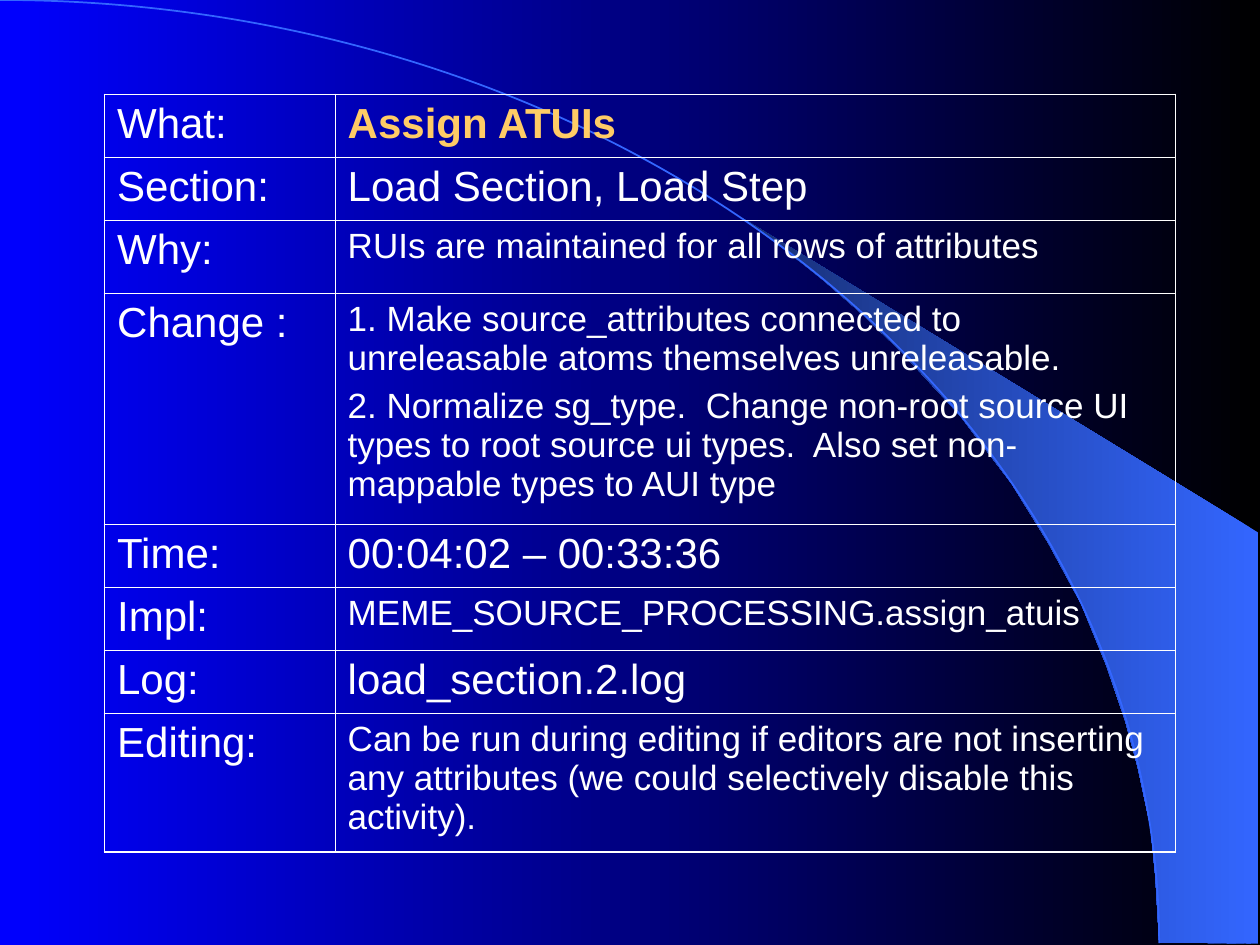
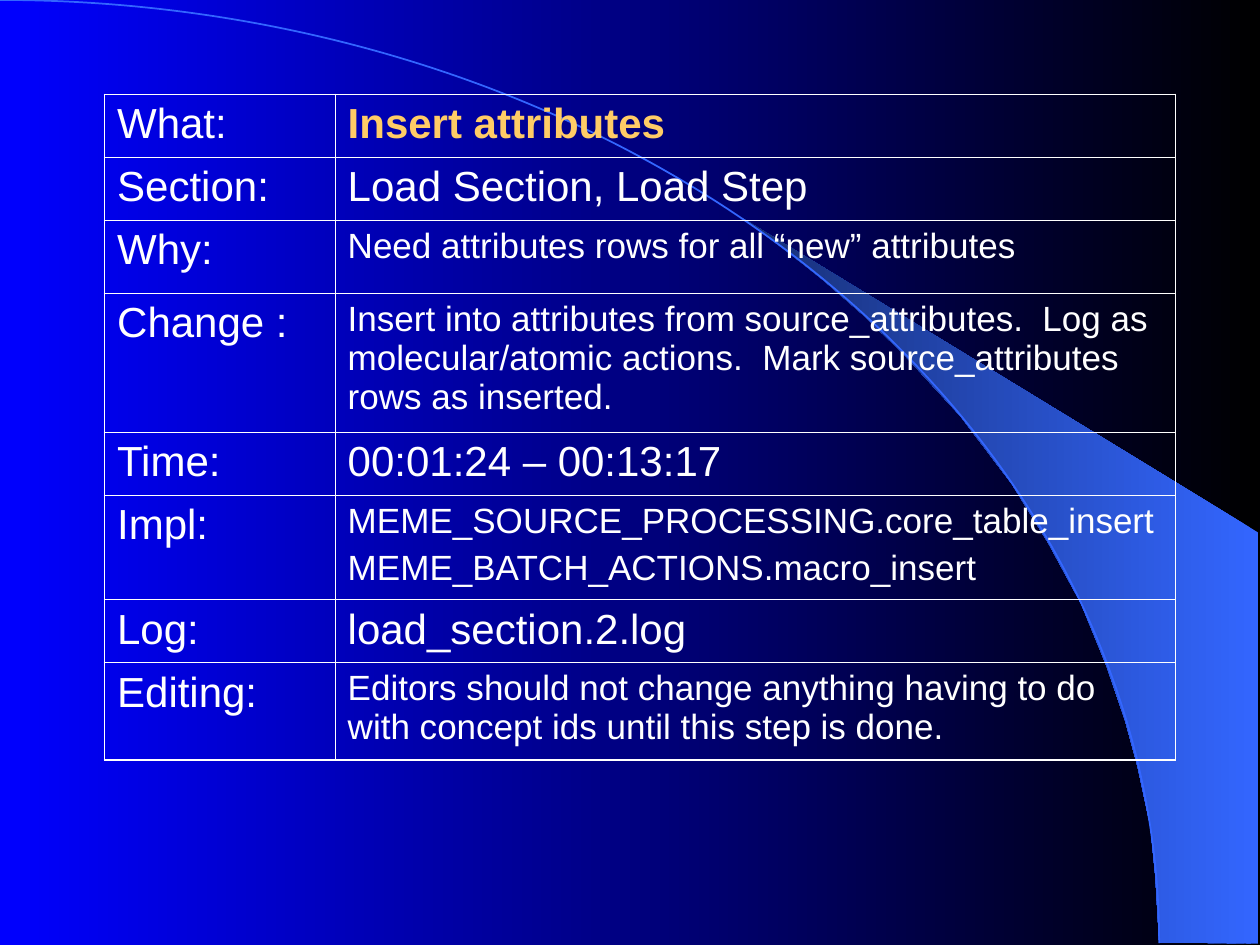
from lxml import etree
from pptx import Presentation
from pptx.dml.color import RGBColor
from pptx.enum.shapes import MSO_SHAPE
from pptx.oxml.ns import qn
from pptx.util import Inches, Pt

ARC = MSO_SHAPE.ARC
COLORS = {
    "text": "FFFFFF",
    "border": "FFFFFF",
    "accent": "FFCC66",
    "arc": "3366FF",
    "sweep_dark": "172F75",
    "bg_dark": "000000",
    "bg_blue": "0000FF",
}
FONT = "Arial"
OUTER, INNER = 1.08, 0.45
COL_WIDTHS = [1.83, 6.67]

# label, value size, value colour, value bold
FIELDS = [
    ("What:", 24, "accent", True),
    ("Section:", 24, "text", False),
    ("Why:", 20, "text", False),
    ("Change :", 20, "text", False),
    ("Time:", 24, "text", False),
    ("Impl:", 20, "text", False),
    ("Log:", 24, "text", False),
    ("Editing:", 20, "text", False),
]

# one (row height, paragraphs) pair for each field
STEPS = [
    [
        (0.5, ["Assign ATUIs"]),
        (0.5, ["Load Section, Load Step"]),
        (0.58, ["RUIs are maintained for all rows of attributes"]),
        (1.83, ["1. Make source_attributes connected to unreleasable atoms "
                "themselves unreleasable.",
                "2. Normalize sg_type.  Change non-root source UI types to root "
                "source ui types.  Also set non-mappable types to AUI type"]),
        (0.5, ["00:04:02 – 00:33:36"]),
        (0.5, ["MEME_SOURCE_PROCESSING.assign_atuis"]),
        (0.5, ["load_section.2.log"]),
        (1.1, ["Can be run during editing if editors are not inserting any "
               "attributes (we could selectively disable this activity)."]),
    ],
    [
        (0.5, ["Insert attributes"]),
        (0.5, ["Load Section, Load Step"]),
        (0.58, ["Need attributes rows for all “new” attributes"]),
        (1.1, ["Insert into attributes from source_attributes.  Log as "
               "molecular/atomic actions.  Mark source_attributes rows as "
               "inserted."]),
        (0.5, ["00:01:24 – 00:13:17"]),
        (0.83, ["MEME_SOURCE_PROCESSING.core_table_insert",
                "MEME_BATCH_ACTIONS.macro_insert"]),
        (0.5, ["load_section.2.log"]),
        (0.77, ["Editors should not change anything having to do with concept "
                "ids until this step is done."]),
    ],
]

SWEEP = [
    (9.2, 7.48), (9.99, 7.49), (9.99, 4.23), (5.89, 1.73), (6.24, 1.99),
    (6.53, 2.22), (6.85, 2.5), (7.16, 2.8), (7.62, 3.3), (8.03, 3.84),
    (8.32, 4.31), (8.58, 4.79), (8.78, 5.28), (8.93, 5.72), (9.03, 6.09),
    (9.13, 6.56), (9.17, 6.96),
]


def set_gradient(fill, right, left):
    fill.gradient()
    fill.gradient_angle = 180
    for stop, name in zip(fill.gradient_stops, (right, left)):
        stop.color.rgb = RGBColor.from_string(COLORS[name])


def format_cell(cell, paragraphs, fmt, borders):
    """Write the paragraphs; borders maps L, R, T, B to widths in points."""
    cell.fill.background()
    tc_pr = cell._tc.get_or_add_tcPr()
    for i, (side, width) in enumerate(borders.items()):
        ln = etree.Element(qn(f"a:ln{side}"), w=str(Pt(width)))
        solid = etree.SubElement(ln, qn("a:solidFill"))
        etree.SubElement(solid, qn("a:srgbClr"), val=COLORS["border"])
        tc_pr.insert(i, ln)
    tf = cell.text_frame
    for i, text in enumerate(paragraphs):
        p = tf.add_paragraph() if i else tf.paragraphs[0]
        if i:
            p.space_before = Pt(5)
        r = p.add_run()
        r.text = text
        r.font.color.rgb = RGBColor.from_string(COLORS[fmt["color"]])
        for name in ("name", "size", "bold"):
            setattr(r.font, name, fmt[name])


prs = Presentation()
prs.slide_width, prs.slide_height = Inches(10), Inches(7.5)
set_gradient(prs.slide_master.background.fill, "bg_dark", "bg_blue")
blank = prs.slide_layouts[6]

for step in STEPS:
    s = prs.slides.add_slide(blank)

    points = [(Inches(x), Inches(y)) for x, y in SWEEP]
    builder = s.shapes.build_freeform(*points[0])
    builder.add_line_segments(points[1:], close=True)
    sweep = builder.convert_to_shape()
    sweep.shadow.inherit = False
    set_gradient(sweep.fill, "arc", "sweep_dark")
    sweep.line.fill.background()

    arc = s.shapes.add_shape(ARC, Inches(-9.2), 0, Inches(18.4), Inches(14.97))
    arc.shadow.inherit = False
    arc.fill.background()
    arc.line.color.rgb = RGBColor.from_string(COLORS["arc"])
    arc.line.width = Pt(1)

    table = s.shapes.add_table(
        len(FIELDS), 2, Inches(0.83), Inches(0.75), Inches(sum(COL_WIDTHS)),
        Inches(sum(height for height, _ in step))).table
    table.first_row = table.horz_banding = False
    for col, width in zip(table.columns, COL_WIDTHS):
        col.width = Inches(width)

    last = len(FIELDS) - 1
    for row, (field, (height, value)) in enumerate(zip(FIELDS, step)):
        label, size, color, bold = field
        table.rows[row].height = Inches(height)
        cells = [([label], 24, "text", False), (value, size, color, bold)]
        for col, (paragraphs, size, color, bold) in enumerate(cells):
            fmt = {"name": FONT, "size": Pt(size), "bold": bold, "color": color}
            borders = {
                "L": OUTER if col == 0 else INNER,
                "R": OUTER if col == 1 else INNER,
                "T": OUTER if row == 0 else INNER,
                "B": OUTER if row == last else INNER,
            }
            format_cell(table.cell(row, col), paragraphs, fmt, borders)

prs.save("out.pptx")
